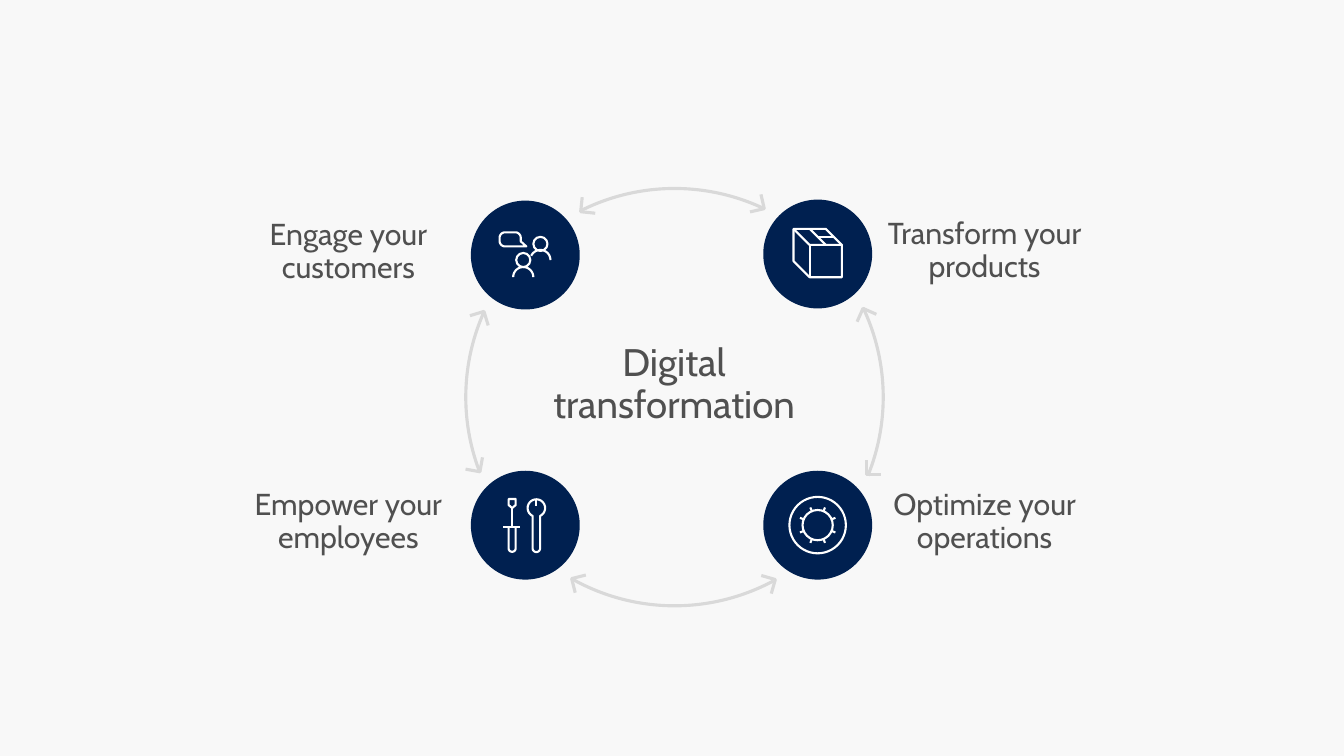
from math import cos, radians, sin

from pptx import Presentation
from pptx.dml.color import RGBColor
from pptx.enum.shapes import MSO_CONNECTOR, MSO_SHAPE
from pptx.enum.text import MSO_ANCHOR, PP_ALIGN
from pptx.util import Inches, Pt
from lxml import etree

COLORS = {"back": "F8F8F8", "navy": "002050", "grey": "D9D9D9",
          "white": "FFFFFF", "text": "505050"}
FONT = "Cabin"
RING = (6.69, 3.94, 2.07)  # centre x, centre y, radius

HUBS = [  # centre of each disc, left edge of its label, label
    ((5.21, 2.53), 2.28, "Engage your customers"),
    ((5.21, 5.21), 2.28, "Empower your employees"),
    ((8.11, 5.21), 8.59, "Optimize your operations"),
    ((8.11, 2.52), 8.59, "Transform your products"),
]
HEADS = [  # arrow tip, heading in degrees clockwise from right
    ((4.8, 3.09), 298), ((4.76, 4.68), 55),
    ((5.67, 5.74), 211), ((7.69, 5.75), 331),
    ((8.59, 4.71), 135), ((8.56, 3.06), 249),
    ((5.76, 2.1), 141), ((7.58, 2.07), 32),
]
GEAR = (8.11, 5.21)


def polar(mid, size, turn):
    return (mid[0] + size * cos(radians(turn)),
            mid[1] + size * sin(radians(turn)))


def arc(mid, size, start, end, steps=20):
    """Points along an arc; angles run clockwise from the right."""
    return [polar(mid, size, start + (end - start) * i / steps)
            for i in range(steps + 1)]


PATHS = [  # icon outlines: points, closed or open
    # speech bubble
    (arc((5.01, 2.36), 0.055, 180, 270) + arc((5.11, 2.36), 0.055, 270, 360)
     + [(5.165, 2.395), (5.22, 2.445)] + arc((5.01, 2.39), 0.055, 90, 180), True),
    # shoulders
    (arc((5.19, 2.75), 0.1, 180, 360), False),
    (arc((5.36, 2.58), 0.1, 205, 360), False),
    # screwdriver blade and handle
    ([(5.045, 4.95), (5.115, 4.95), (5.115, 5.01), (5.08, 5.04),
      (5.045, 5.01)], True),
    ([(5.115, 5.23)] + arc((5.08, 5.44), 0.035, 0, 180) + [(5.045, 5.23)], False),
    # spanner
    (arc((5.32, 5.04), 0.087, 115, 425)
     + arc((5.32, 5.44), 0.037, 0, 180), True),
    # box
    ([(8.35, 2.43), (8.19, 2.27), (7.87, 2.27), (7.87, 2.59),
      (8.03, 2.75), (8.35, 2.75)], True),
    ([(8.35, 2.43), (8.03, 2.43), (7.87, 2.27)], False),
]
LINES = [
    ((5.08, 5.04), (5.08, 5.23)), ((4.99, 5.23), (5.16, 5.23)),
    ((5.32, 4.95), (5.32, 5.02)),
    ((8.03, 2.43), (8.03, 2.75)), ((8.03, 2.27), (8.19, 2.43)),
    ((8.1, 2.35), (8.26, 2.35)),
]
RINGS = [((5.36, 2.42), 0.07), ((5.19, 2.58), 0.07), (GEAR, 0.15), (GEAR, 0.28)]

deck = Presentation()
deck.slide_width, deck.slide_height = Inches(13.33), Inches(7.5)
slide = deck.slides.add_slide(deck.slide_layouts[6])
shapes = slide.shapes


def rgb(name):
    return RGBColor.from_string(COLORS[name])


def style(shape, fill=None, line=None, width=1.5):
    shape.shadow.inherit = False
    if fill:
        shape.fill.solid()
        shape.fill.fore_color.rgb = rgb(fill)
    else:
        shape.fill.background()
    if line:
        shape.line.color.rgb = rgb(line)
        shape.line.width = Pt(width)
    else:
        shape.line.fill.background()


def disc(mid, size, **look):
    box = (mid[0] - size, mid[1] - size, 2 * size, 2 * size)
    style(shapes.add_shape(MSO_SHAPE.OVAL, *map(Inches, box)), **look)


def trace(points, closed=False, **look):
    spots = [(Inches(x), Inches(y)) for x, y in points]
    pen = shapes.build_freeform(*spots[0])
    pen.add_line_segments(spots[1:], close=closed)
    style(pen.convert_to_shape(), **look)


def rule(start, end, color="white", width=1.5):
    link = shapes.add_connector(MSO_CONNECTOR.STRAIGHT,
                                *map(Inches, (*start, *end)))
    link.line.color.rgb = rgb(color)
    link.line.width = Pt(width)
    props = link._element.spPr
    etree.SubElement(props, props.tag.replace("}spPr", "}effectLst").replace(
        "presentationml", "drawingml"))


def label(text, box, size, pad):
    frame = shapes.add_textbox(*map(Inches, box)).text_frame
    layout = {"word_wrap": True, "vertical_anchor": MSO_ANCHOR.MIDDLE,
              "margin_left": Inches(pad[0]), "margin_right": Inches(pad[0]),
              "margin_top": Inches(pad[1]), "margin_bottom": Inches(pad[1])}
    para = frame.paragraphs[0]
    para.text = text
    formats = [(frame, layout),
               (para, {"alignment": PP_ALIGN.CENTER, "line_spacing": 0.9}),
               (para.runs[0].font, {"name": FONT, "size": Pt(size)})]
    for target, values in formats:
        for key, value in values.items():
            setattr(target, key, value)
    para.runs[0].font.color.rgb = rgb("text")


slide.background.fill.solid()
slide.background.fill.fore_color.rgb = rgb("back")

disc(RING[:2], RING[2], line="grey", width=2.25)
label("Digital transformation", (5.28, 3.38, 2.81, 0.88), 27.4, (0, 0))

for mid, left, text in HUBS:
    disc(mid, 0.705, fill="back")
    disc(mid, 0.54, fill="navy")
    label(text, (left, mid[1] - 0.515, 2.35, 0.97), 21.6, (0.2, 0.16))

for tip, turn in HEADS:
    trace([polar(tip, 0.145, turn + 135), tip, polar(tip, 0.145, turn - 135)],
          line="grey", width=2.25)

for points, closed in PATHS:
    trace(points, closed, line="white")
for start, end in LINES:
    rule(start, end)
for mid, size in RINGS:
    disc(mid, size, line="white")
for step in range(8):
    turn = 22.5 + 45 * step
    rule(polar(GEAR, 0.15, turn), polar(GEAR, 0.19, turn))

deck.save("out.pptx")
